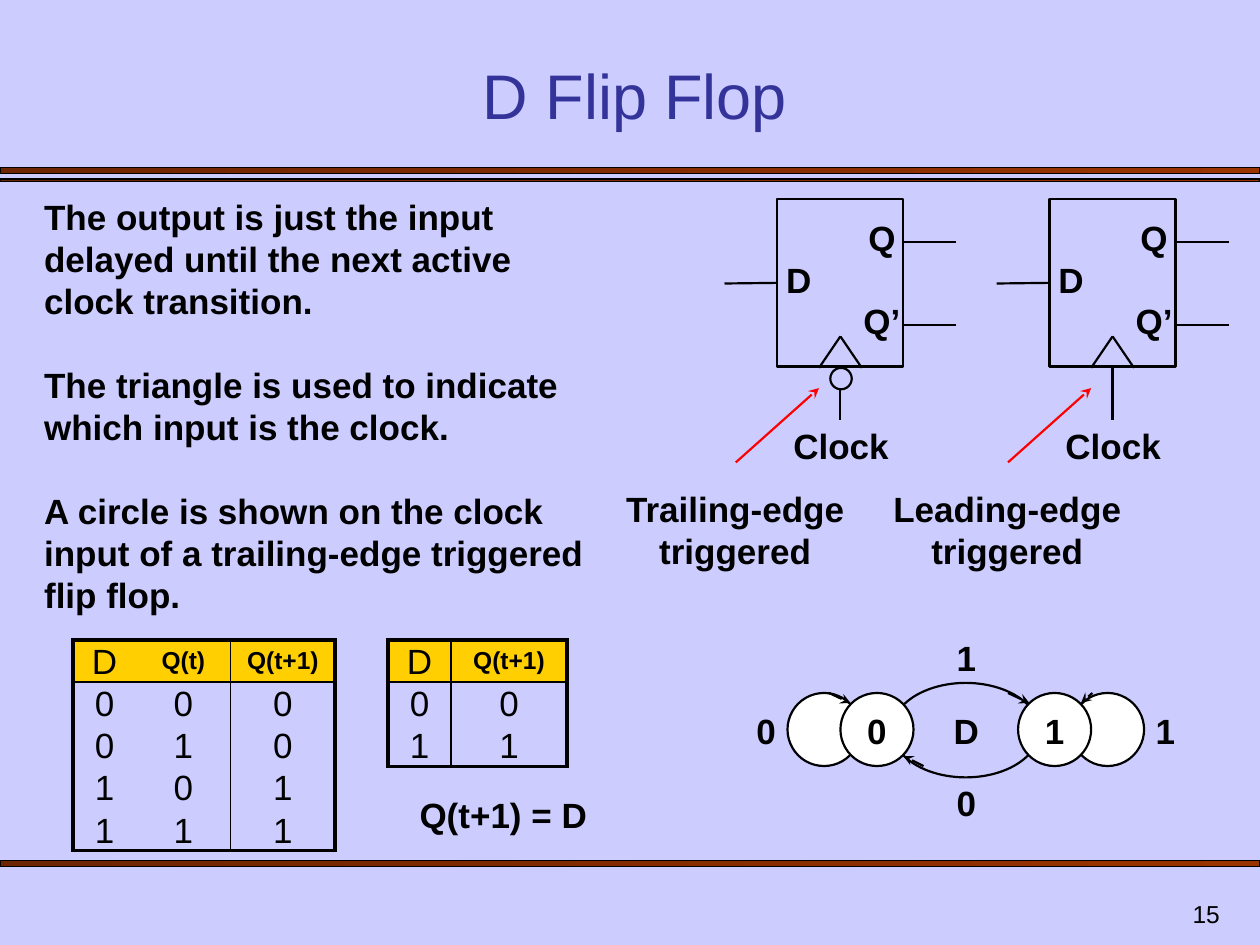
from dataclasses import dataclass

from lxml import etree
from pptx import Presentation
from pptx.dml.color import RGBColor
from pptx.enum.shapes import MSO_CONNECTOR, MSO_SHAPE
from pptx.enum.text import MSO_ANCHOR, MSO_AUTO_SIZE, PP_ALIGN
from pptx.oxml.ns import qn
from pptx.util import Inches, Pt

LEFT, CENTER, RIGHT = PP_ALIGN.LEFT, PP_ALIGN.CENTER, PP_ALIGN.RIGHT
TOP, MIDDLE, BOTTOM = MSO_ANCHOR.TOP, MSO_ANCHOR.MIDDLE, MSO_ANCHOR.BOTTOM
RECTANGLE, OVAL = MSO_SHAPE.RECTANGLE, MSO_SHAPE.OVAL
STRAIGHT = MSO_CONNECTOR.STRAIGHT
SIDE_LEFT, SIDE_BOTTOM = 1, 2


@dataclass(frozen=True)
class Theme:
    font: str = "Arial"
    background: str = "CCCCFF"
    title: str = "333399"
    ink: str = "000000"
    pointer: str = "FF0000"
    header: str = "FFCF01"
    state: str = "FFFFFF"
    bar_start: str = "6D2400"
    bar_end: str = "993300"
    title_size: float = 36
    body_size: float = 20
    small_size: float = 14
    line_height: float = 24
    bar_line: float = 0.75
    thin: float = 1
    line: float = 1.25
    frame: float = 2.25


def color(value):
    return RGBColor.from_string(value)


class SlideBuilder:
    """Holds the theme, the slide and the shape collection being filled."""

    def __init__(self, slide, theme):
        self.slide = slide
        self.theme = theme
        self.shapes = slide.shapes
        slide.background.fill.solid()
        slide.background.fill.fore_color.rgb = color(theme.background)

    def start_group(self):
        self.shapes = self.slide.shapes.add_group_shape().shapes

    def end_group(self):
        self.shapes = self.slide.shapes

    def format_text(self, text_frame, size, ink, bold=False, align=CENTER, gap=0):
        for paragraph in text_frame.paragraphs:
            paragraph.alignment = align
            paragraph.space_before = Pt(0)
            paragraph.space_after = Pt(gap)
            if size == self.theme.body_size:
                paragraph.line_spacing = Pt(self.theme.line_height)
            for run in paragraph.runs:
                run.font.name = self.theme.font
                run.font.size = Pt(size)
                run.font.bold = bold
                run.font.color.rgb = color(ink)

    def place(self, placeholder, text, left, top, width, height, anchor):
        placeholder.left, placeholder.top = Inches(left), Inches(top)
        placeholder.width, placeholder.height = Inches(width), Inches(height)
        text_frame = placeholder.text_frame
        text_frame.text = text
        text_frame.auto_size = MSO_AUTO_SIZE.NONE
        text_frame.vertical_anchor = anchor
        return text_frame

    def title(self, text):
        text_frame = self.place(self.slide.shapes.title, text, 0.58, 0.42, 8.92, 0.68, BOTTOM)
        self.format_text(text_frame, self.theme.title_size, self.theme.title)

    def body(self, paragraphs):
        text_frame = self.place(self.slide.placeholders[1], "\n".join(paragraphs),
                                0.25, 1.5, 4.5, 3.43, TOP)
        self.format_text(text_frame, self.theme.body_size, self.theme.ink, True, LEFT,
                         self.theme.line_height)
        for paragraph in text_frame.paragraphs:
            properties = paragraph._p.get_or_add_pPr()
            properties.set("marL", "0")
            properties.set("indent", "0")
            etree.SubElement(properties, qn("a:buNone"))

    def label(self, text, left, top, width=0.5, height=0.43):
        box = self.shapes.add_textbox(Inches(left), Inches(top), Inches(width), Inches(height))
        box.text_frame.word_wrap = True
        box.text_frame.text = text
        self.format_text(box.text_frame, self.theme.body_size, self.theme.ink, True)
        return box

    def slide_number(self, text):
        text_frame = self.label(text, 7.7, 7, 2.08, 0.42).text_frame
        text_frame.vertical_anchor = BOTTOM
        paragraph = text_frame.paragraphs[0]
        paragraph.line_spacing = 1.0
        self.format_text(text_frame, self.theme.small_size, self.theme.ink, align=RIGHT)

    def shape(self, kind, left, top, width, height, fill=None):
        shape = self.shapes.add_shape(kind, Inches(left), Inches(top),
                                      Inches(width), Inches(height))
        shape.shadow.inherit = False
        shape.line.color.rgb = color(self.theme.ink)
        shape.line.width = Pt(self.theme.line)
        if fill:
            shape.fill.solid()
            shape.fill.fore_color.rgb = color(fill)
        else:
            shape.fill.background()
        return shape

    def bar(self, top, height):
        bar = self.shape(RECTANGLE, 0, top, 10, height)
        bar.line.width = Pt(self.theme.bar_line)
        bar.fill.gradient()
        bar.fill.gradient_angle = 0
        stops = zip(bar.fill.gradient_stops, (self.theme.bar_start, self.theme.bar_end))
        for position, (stop, value) in enumerate(stops):
            stop.position = position
            stop.color.rgb = color(value)

    def line(self, start, end, ink=None, arrow=False):
        connector = self.shapes.add_connector(STRAIGHT, *map(Inches, (*start, *end)))
        connector.line.color.rgb = color(ink or self.theme.ink)
        connector.line.width = Pt(self.theme.line)
        if arrow:
            etree.SubElement(connector.line._get_or_add_ln(), qn("a:tailEnd"), type="stealth")
        etree.SubElement(connector._element.spPr, qn("a:effectLst"))
        return connector

    def borders(self, cell, widths):
        """Draw the cell's edges; widths are points by side, 0 for none."""
        properties = cell._tc.get_or_add_tcPr()
        for side, width in widths.items():
            edge = etree.SubElement(properties, qn(f"a:ln{side}"), w=str(Pt(width)))
            if width:
                fill = etree.SubElement(edge, qn("a:solidFill"))
                etree.SubElement(fill, qn("a:srgbClr"), val=self.theme.ink)
            else:
                etree.SubElement(edge, qn("a:noFill"))

    def truth_table(self, left, top, column_widths, rows):
        theme = self.theme
        row_height = Inches(1) // 3
        last_row, last_column = len(rows) - 1, len(column_widths) - 1
        table = self.shapes.add_table(
            len(rows), len(column_widths), Inches(left), Inches(top),
            Inches(sum(column_widths)), row_height * len(rows)).table
        table.first_row = table.horz_banding = False
        for column, width in zip(table.columns, column_widths):
            column.width = Inches(width)
        for r, values in enumerate(rows):
            table.rows[r].height = row_height
            for c, value in enumerate(values):
                cell = table.cell(r, c)
                cell.margin_top = cell.margin_bottom = 0
                cell.text_frame.text = value
                small = r == 0 and c > 0
                cell.vertical_anchor = MIDDLE if small else TOP
                self.format_text(cell.text_frame,
                                 theme.small_size if small else theme.body_size,
                                 theme.ink, small)
                self.borders(cell, {
                    "L": theme.frame if c == 0 else theme.thin * (c == last_column),
                    "R": theme.frame if c == last_column else theme.thin * (c == last_column - 1),
                    "T": theme.frame if r == 0 else theme.thin * (r == 1),
                    "B": theme.frame if r == last_row else theme.thin * (r == 0)})
                if r == 0:
                    cell.fill.solid()
                    cell.fill.fore_color.rgb = color(theme.header)
                else:
                    cell.fill.background()

    def flip_flop(self, left, caption, bubble):
        self.start_group()
        top, bottom, middle, right = 1.58, 2.92, left + 0.5, left + 1
        block = self.shape(RECTANGLE, left, top, 1, 1.33)
        if bubble:
            self.shape(OVAL, middle - 0.08, bottom, 0.17, 0.17)
        clock = self.line((middle, 3.08 if bubble else bottom), (middle, 3.33))
        if not bubble:
            clock.begin_connect(block, SIDE_BOTTOM)
        for side in (-0.17, 0.17):
            self.line((middle + side, bottom), (middle, 2.67))
        self.line((left - 0.42, 2.25), (left, 2.25)).end_connect(block, SIDE_LEFT)
        for name, height in (("Q", 1.92), ("Q’", 2.58)):
            self.line((right, height), (right + 0.42, height))
            self.label(name, left + 0.58, height - 0.25)
        self.label("D", left - 0.08, 2)
        self.label("Clock", left - 0.08, 3.32, 1.17)
        self.label(caption, left - 1.5, 3.82, 2.33, 0.77)
        self.line((left - 0.33, 3.67), (left + 0.33, 3.08), self.theme.pointer, arrow=True)
        self.end_group()

    def state_diagram(self):
        self.start_group()
        self.shape(OVAL, 7.08, 5.42, 1.17, 0.75)
        for loop_left, state_left, name in ((6.25, 6.67, "0"), (8.5, 8.08, "1")):
            for left in (loop_left, state_left):
                self.shape(OVAL, left, 5.5, 0.58, 0.58, self.theme.state)
            self.label(name, state_left + 0.08, 5.58, 0.42)
        for start, end in (((6.58, 5.5), (6.75, 5.58)), ((8.67, 5.5), (8.58, 5.58)),
                           ((8, 5.5), (8.17, 5.58)), ((7.33, 6.08), (7.17, 6))):
            self.line(start, end, arrow=True)
        for name, left, top in (("0", 7.42, 6.15), ("1", 7.42, 5), ("0", 5.83, 5.58),
                                ("1", 9, 5.58), ("D", 7.42, 5.58)):
            self.label(name, left, top)
        self.end_group()


def main():
    presentation = Presentation()
    presentation.slide_width, presentation.slide_height = Inches(10), Inches(7.5)
    slide = presentation.slides.add_slide(presentation.slide_layouts[1])
    builder = SlideBuilder(slide, Theme())
    for top, height in ((1.33, 0.05), (1.42, 0.02), (6.83, 0.05)):
        builder.bar(top, height)
    builder.slide_number("15")
    builder.title("D Flip Flop")
    builder.flip_flop(6.17, "Trailing-edge triggered", bubble=True)
    builder.flip_flop(8.33, "Leading-edge triggered", bubble=False)
    builder.body([
        "The output is just the input delayed until the next active clock transition.",
        "The triangle is used to indicate which input is the clock.",
        "A circle is shown on the clock input of a trailing-edge triggered flip flop."])
    builder.truth_table(0.58, 5.08, (0.5, 0.75, 0.83),
                        (("D", "Q(t)", "Q(t+1)"), *("000", "010", "101", "111")))
    builder.truth_table(3.08, 5.08, (0.5, 0.92), (("D", "Q(t+1)"), *("00", "11")))
    builder.state_diagram()
    builder.label("Q(t+1) = D", 3.08, 6.25, 1.83)
    presentation.save("out.pptx")


if __name__ == "__main__":
    main()
